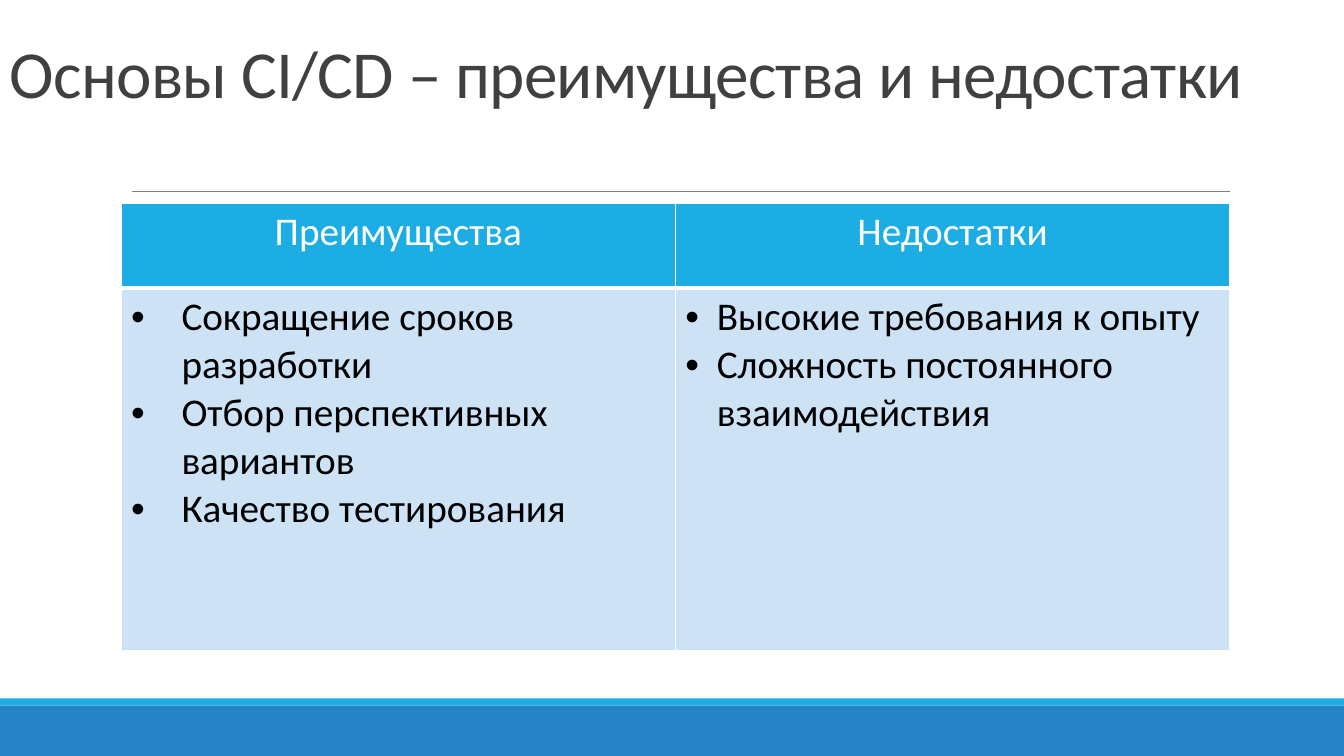
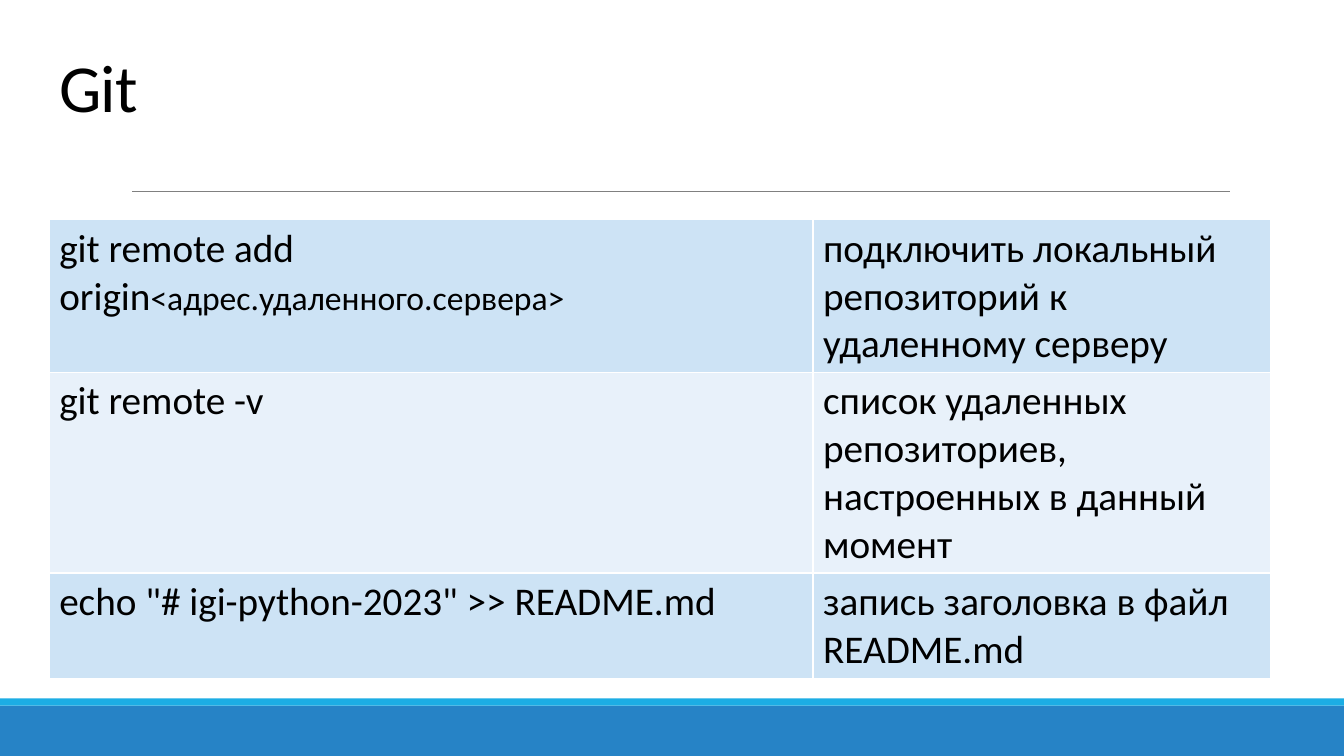
from lxml import etree
from pptx import Presentation
from pptx.dml.color import RGBColor
from pptx.enum.shapes import MSO_CONNECTOR, MSO_SHAPE
from pptx.enum.text import MSO_ANCHOR, PP_ALIGN
from pptx.oxml.ns import qn
from pptx.util import Cm, Pt

rgb = RGBColor.from_string
WHITE, BLACK, GREY = "FFFFFF", "000000", "404040"
BLUE, SKY, PALE, PALER = "2683C6", "1CADE4", "CDE3F5", "E8F1FA"
BODY, SMALL, TITLE = 28, 24, 48
WIDTH, HEIGHT = 33.87, 19.05
BANDS = [(17.78, 1.27, BLUE), (17.6, 0.18, SKY)]


def add_run(p, text, size, color):
    r = p.add_run()
    r.text = text
    for name, value in {"name": "Calibri", "size": Pt(size)}.items():
        setattr(r.font, name, value)
    r.font.color.rgb = rgb(color)
    return r


def add_border(cell, side, points):
    """Draw a white border on one side (L, R, T or B); call before the fill."""
    tc_pr = cell._tc.get_or_add_tcPr()
    ln = etree.SubElement(tc_pr, qn("a:ln" + side), w=str(Pt(points)))
    fill = etree.SubElement(ln, qn("a:solidFill"))
    etree.SubElement(fill, qn("a:srgbClr"), val=WHITE)


# A cell is a list of paragraphs; a paragraph is a list of (text, size) runs.
slides = [
    {
        "title": "Основы CI/CD – преимущества и недостатки",
        "title_box": (0, 0.79, 32.64, 2.16),
        "title_color": GREY,
        "table_at": (3.05, 5.13),
        "cols": [13.97, 13.97],
        "rows": [2.13, 9.14],
        "fills": [SKY, PALE],
        "header": True,
        "indents": [1.27, 0.79],
        "cells": [
            [[[("Преимущества", BODY)]], [[("Недостатки", BODY)]]],
            [
                [
                    [("Сокращение сроков разработки", BODY)],
                    [("Отбор перспективных вариантов", BODY)],
                    [("Качество тестирования", BODY)],
                ],
                [
                    [("Высокие требования к опыту", BODY)],
                    [("Сложность постоянного взаимодействия", BODY)],
                ],
            ],
        ],
    },
    {
        "title": "Git",
        "title_box": (1.24, 0.86, 31.55, 2.44),
        "title_color": BLACK,
        "table_at": (1.24, 5.54),
        "cols": [19.25, 11.53],
        "rows": [3.85, 5.05, 2.65],
        "fills": [PALE, PALER, PALE],
        "header": False,
        "cells": [
            [
                [[("git remote add origin", BODY), ("<адрес.удаленного.сервера>", SMALL)]],
                [[("подключить локальный репозиторий к удаленному серверу", BODY)]],
            ],
            [
                [[("git remote -v", BODY)]],
                [[("список удаленных репозиториев, настроенных в данный момент", BODY)]],
            ],
            [
                [[('echo "# igi-python-2023" >> README.md', BODY)]],
                [[("запись заголовка в файл README.md", BODY)]],
            ],
        ],
    },
]

prs = Presentation()
prs.slide_width, prs.slide_height = Cm(WIDTH), Cm(HEIGHT)

for data in slides:
    s = prs.slides.add_slide(prs.slide_layouts[6])

    # Bands and title rule
    for top, height, color in BANDS:
        sp = s.shapes.add_shape(MSO_SHAPE.RECTANGLE, 0, Cm(top), Cm(WIDTH), Cm(height))
        sp.shadow.inherit = False
        sp.fill.solid()
        sp.fill.fore_color.rgb = rgb(color)
        sp.line.fill.background()
    rule = s.shapes.add_connector(MSO_CONNECTOR.STRAIGHT, Cm(3.33), Cm(4.82), Cm(31), Cm(4.82))
    rule.line.color.rgb = rgb("808080")
    rule.line.width = Pt(0.5)
    etree.SubElement(rule._element.spPr, qn("a:effectLst"))

    # Title
    tf = s.shapes.add_textbox(*map(Cm, data["title_box"])).text_frame
    tf.word_wrap = True
    tf.vertical_anchor = MSO_ANCHOR.BOTTOM
    p = tf.paragraphs[0]
    p.line_spacing = 0.85
    r = add_run(p, data["title"], TITLE, data["title_color"])
    r.font._element.set("spc", "-50")

    # Table
    cols, rows = data["cols"], data["rows"]
    size = sum(cols), sum(rows)
    table = s.shapes.add_table(len(rows), len(cols), *map(Cm, data["table_at"] + size)).table
    table.first_row = table.horz_banding = False
    for col, width in zip(table.columns, cols):
        col.width = Cm(width)
    for i, (row, height) in enumerate(zip(table.rows, rows)):
        row.height = Cm(height)
        is_header = data["header"] and i == 0
        below_header = data["header"] and i == 1
        for j, cell in enumerate(row.cells):
            widths = {"L": 1, "R": 1, "T": 3 if below_header else 1, "B": 3 if is_header else 1}
            for side, points in widths.items():
                add_border(cell, side, points)
            cell.fill.solid()
            cell.fill.fore_color.rgb = rgb(data["fills"][i])
            tf = cell.text_frame
            for k, runs in enumerate(data["cells"][i][j]):
                p = tf.add_paragraph() if k else tf.paragraphs[0]
                if is_header:
                    p.alignment = PP_ALIGN.CENTER
                elif "indents" in data:
                    indent = Cm(data["indents"][j])
                    p_pr = p._p.get_or_add_pPr()
                    p_pr.set("marL", str(indent))
                    p_pr.set("indent", str(-indent))
                    etree.SubElement(p_pr, qn("a:buFont"), typeface="Arial")
                    etree.SubElement(p_pr, qn("a:buChar"), char="•")
                for text, points in runs:
                    add_run(p, text, points, WHITE if is_header else BLACK)

prs.save("out.pptx")
